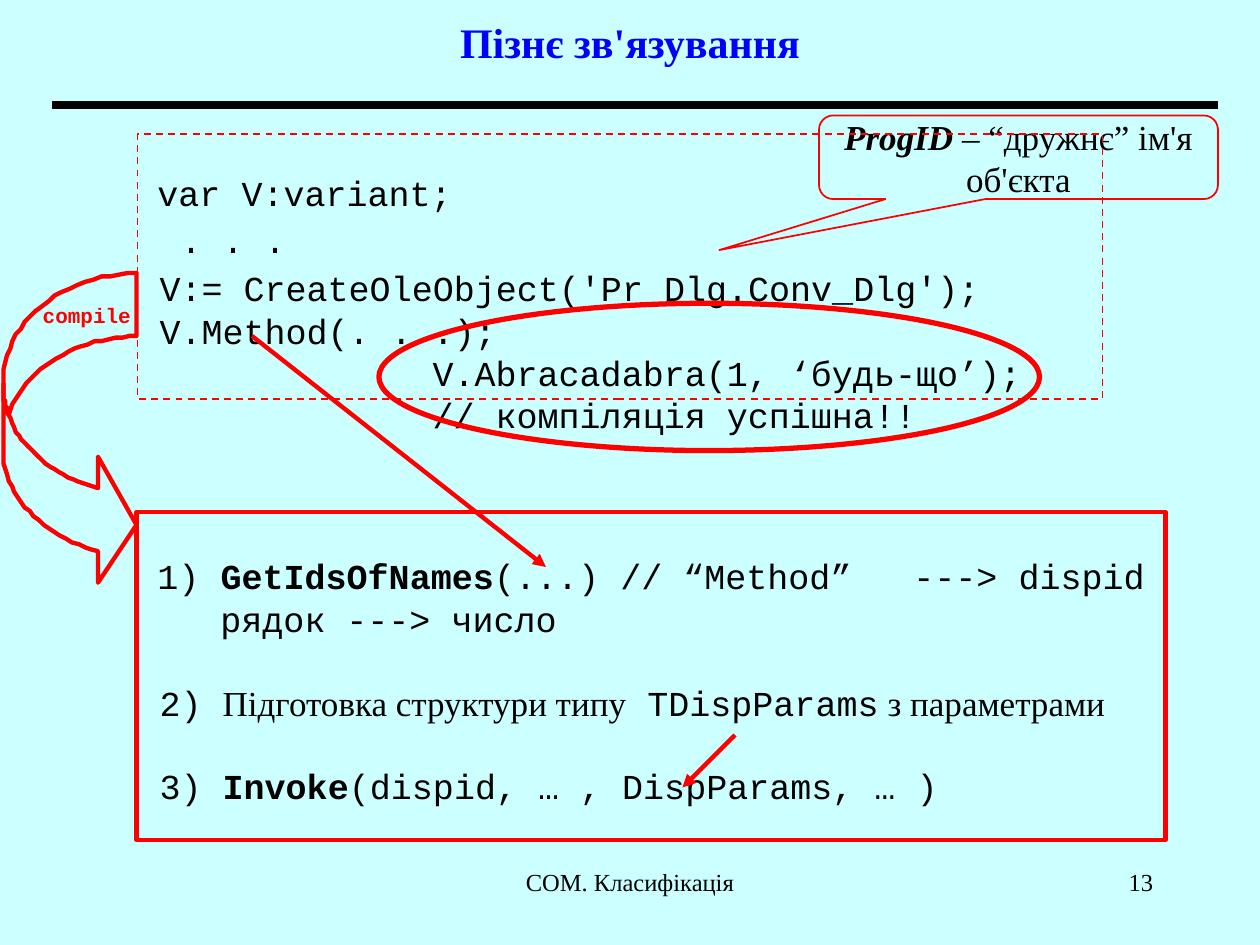
from math import acos, asin, cos, degrees, radians, sin

from lxml import etree
from pptx import Presentation
from pptx.dml.color import RGBColor
from pptx.enum.dml import MSO_LINE
from pptx.enum.shapes import MSO_CONNECTOR, MSO_SHAPE
from pptx.enum.text import MSO_ANCHOR, PP_ALIGN
from pptx.oxml.ns import qn
from pptx.util import Pt

PALE_CYAN = RGBColor(0xCC, 0xFF, 0xFF)
BLACK = RGBColor(0, 0, 0)
RED = RGBColor(0xFF, 0, 0)
BLUE = RGBColor(0, 0, 0xFF)
SERIF, MONO = "Times New Roman", "Courier New"

prs = Presentation()
prs.slide_width, prs.slide_height = Pt(720), Pt(540)
slide = prs.slides.add_slide(prs.slide_layouts[6])
slide.background.fill.solid()
slide.background.fill.fore_color.rgb = PALE_CYAN
shapes = slide.shapes


def add_runs(paragraph, runs, **common):
    """Add (text, font values) runs; the common values apply to each."""
    for text, own in runs:
        run = paragraph.add_run()
        run.text = text
        values = {"name": SERIF, "size": Pt(20), **common, **own}
        run.font.color.rgb = values.pop("color", BLACK)
        for key, value in values.items():
            setattr(run.font, key, value)


def arc(center_y, start, end, steps=24):
    """Points on the arrow's ellipse; 0 degrees is its left end, 90 its bottom."""
    angles = [radians(start + (end - start) * i / steps) for i in range(steps + 1)]
    return [(ARROW_X - RADIUS_X * cos(a), center_y + RADIUS_Y * sin(a)) for a in angles]


# Code and call steps: (space before, left indent, tab stops, runs)
bold = {"bold": True}
code = [
    (0, 0, [], [("var V:variant;", {})]),
    (7, 13.2, [], [(". . .", {})]),
    (7, 1.2, [], [("V:= CreateOleObject('Pr_Dlg.Conv_Dlg');", {})]),
    (5, 1.2, [], [("V.Method(. . .);", {})]),
    (4, 157.2, [], [("V.Abracadabra(1, ‘будь-що’);", {})]),
    (4, 157.2, [], [("// компіляція успішна!!", {})]),
]
call_steps = [
    (0, 0, [420], [("1) ", {}), ("GetIdsOfNames", bold),
                   ("(...) // “Method”\t---> dispid", {})]),
    (4.5, 0, [337.2, 433.2], [("\tрядок\t---> число", {})]),
    (28, 1.2, [], [("2) ", {}), ("Підготовка структури типу", {"name": SERIF}),
                   (" TDispParams", {}), (" з параметрами", {"name": SERIF})]),
    (27, 1.2, [], [("3) ", {}), ("Invoke", bold),
                   ("(dispid, … , DispParams, … )", {})]),
]
for top, height, lines in [(102, 148, code), (321, 140, call_steps)]:
    frame = shapes.add_textbox(Pt(90), Pt(top), Pt(570), Pt(height)).text_frame
    frame.word_wrap = True
    frame.margin_left = frame.margin_right = frame.margin_top = frame.margin_bottom = 0
    for i, (before, indent, stops, runs) in enumerate(lines):
        line = frame.add_paragraph() if i else frame.paragraphs[0]
        line.line_spacing = Pt(20)
        line.space_before = Pt(before)
        properties = line._p.get_or_add_pPr()
        properties.set("marL", str(Pt(indent)))
        properties.set("indent", "0")
        if stops:
            tab_list = etree.SubElement(properties, qn("a:tabLst"))
            for stop in stops:
                etree.SubElement(tab_list, qn("a:tab"), pos=str(Pt(stop)), algn="l")
        add_runs(line, runs, name=MONO)

# Title, arrow label, footer and page number
labels = [
    ("Пізнє зв'язування", (54, 0, 612, 48), PP_ALIGN.CENTER, MSO_ANCHOR.MIDDLE,
     {"size": Pt(24), "color": BLUE, "bold": True}),
    ("compile", (17.3, 169.2, 65, 21.6), PP_ALIGN.LEFT, MSO_ANCHOR.TOP,
     {"size": Pt(12), "color": RED, "bold": True, "name": MONO}),
    ("COM. Класифікація", (246, 492, 228, 36), PP_ALIGN.CENTER, MSO_ANCHOR.TOP,
     {"size": Pt(14)}),
    ("13", (516, 492, 150, 36), PP_ALIGN.RIGHT, MSO_ANCHOR.TOP, {"size": Pt(14)}),
]
for text, place, align, anchor, font in labels:
    frame = shapes.add_textbox(*map(Pt, place)).text_frame
    frame.word_wrap = text != "compile"
    frame.vertical_anchor = anchor
    frame.paragraphs[0].alignment = align
    add_runs(frame.paragraphs[0], [(text, font)])

# Callout, code frame, steps frame and highlight
outlines = [
    (MSO_SHAPE.ROUNDED_RECTANGULAR_CALLOUT, (468, 66, 228, 47.8), 1),
    (MSO_SHAPE.RECTANGLE, (78.6, 76.8, 551.4, 151.2), 1),
    (MSO_SHAPE.RECTANGLE, (78, 292.5, 588, 187.5), 2.5),
    (MSO_SHAPE.OVAL, (216.5, 173.3, 377.5, 84.2), 3),
]
drawn = []
for kind, place, weight in outlines:
    outline = shapes.add_shape(kind, *map(Pt, place))
    outline.line.width = Pt(weight)
    drawn.append(outline)
callout, code_frame, steps_frame, highlight = drawn
code_frame.line.dash_style = MSO_LINE.DASH
for i, value in enumerate([-0.75, 1.11, 0.17]):
    callout.adjustments[i] = value

callout_text = callout.text_frame
callout_text.word_wrap = False
callout_text.vertical_anchor = MSO_ANCHOR.MIDDLE
callout_lines = [
    [("ProgID ", {"bold": True, "italic": True}), ("– “дружнє” ім'я", {})],
    [("об'єкта", {})],
]
for i, runs in enumerate(callout_lines):
    line = callout_text.add_paragraph() if i else callout_text.paragraphs[0]
    line.alignment = PP_ALIGN.CENTER
    add_runs(line, runs)

# Curved arrow from the code to the steps
ARROW_X, RADIUS_X, RADIUS_Y = 78, 76.5, 62.6
UPPER_Y, LOWER_Y, HEAD_X = 218.9, 254.9, 56.2
fold = degrees(asin((LOWER_Y - UPPER_Y) / 2 / RADIUS_Y))
neck = degrees(acos((ARROW_X - HEAD_X) / RADIUS_X))
band = (arc(UPPER_Y, -90, 0) + arc(LOWER_Y, 0, neck)
        + [(HEAD_X, 333.4), (ARROW_X, 300), (HEAD_X, 261.4)]
        + arc(UPPER_Y, neck, fold) + arc(LOWER_Y, -fold, -90))
crease = arc(UPPER_Y, 0, fold)
builder = shapes.build_freeform(*band[0], scale=Pt(1))
builder.add_line_segments(band[1:], close=True)
builder.move_to(*crease[0])
builder.add_line_segments(crease[1:], close=False)
curved_arrow = builder.convert_to_shape()
curved_arrow.line.width = Pt(2.5)

for outline in drawn + [curved_arrow]:
    outline.shadow.inherit = False
    outline.fill.background()
    outline.line.color.rgb = RED

# Title rule and pointers
for ends, color, weight, pointed in [
    ((30, 60, 696, 60), BLACK, 4.5, False),
    ((144, 192, 312, 324), RED, 2.5, True),
    ((420, 420, 390, 450), RED, 2.5, True),
]:
    connector = shapes.add_connector(MSO_CONNECTOR.STRAIGHT, *map(Pt, ends))
    connector.line.color.rgb = color
    connector.line.width = Pt(weight)
    if pointed:
        etree.SubElement(connector.line._get_or_add_ln(), qn("a:tailEnd"), type="triangle")
    etree.SubElement(connector._element.spPr, qn("a:effectLst"))

prs.save("out.pptx")
